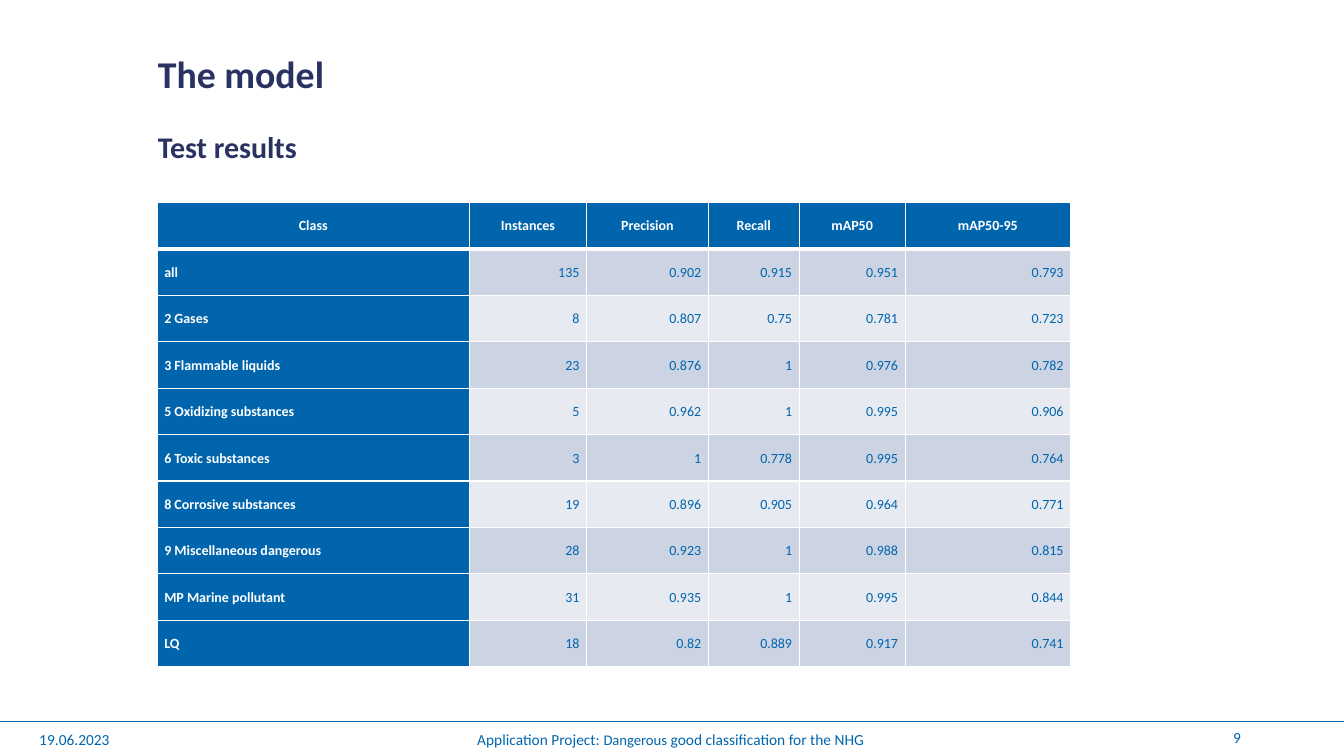
from dataclasses import dataclass

from lxml.etree import SubElement
from pptx import Presentation
from pptx.dml.color import RGBColor
from pptx.enum.shapes import MSO_CONNECTOR
from pptx.enum.text import MSO_ANCHOR, PP_ALIGN
from pptx.oxml.ns import qn
from pptx.slide import Slide
from pptx.table import _Cell
from pptx.text.text import _Paragraph
from pptx.util import Cm, Pt


@dataclass(frozen=True)
class Theme:
    font: str = "Calibri"
    blue: str = "0065AD"
    navy: str = "2A3262"
    white: str = "FFFFFF"
    odd_band: str = "CCD3E3"
    even_band: str = "E7EAF1"
    title_size: float = 27
    subtitle_size: float = 21.4
    footer_size: float = 11
    footer_small_size: float = 10.5
    table_size: float = 10
    grid_width: float = 1
    header_rule_width: float = 3


THEME = Theme()


@dataclass(frozen=True)
class Label:
    """A text box; position and size are in centimetres."""
    runs: tuple[str, ...]
    left: float
    top: float
    width: float
    height: float
    sizes: tuple[float, ...] = (THEME.footer_size,)
    color: str = THEME.blue
    bold: bool = False
    align: PP_ALIGN = PP_ALIGN.LEFT
    anchor: MSO_ANCHOR = MSO_ANCHOR.TOP
    inset_x: float = 0.25
    inset_y: float = 0.13
    line_spacing: float = 1.0


@dataclass(frozen=True)
class Column:
    heading: str
    width: float


LABELS = (
    Label(("Application Project: ", "Dangerous", " good classification for the NHG"),
          4.6, 18.26, 24.61, 1.19,
          sizes=(THEME.footer_size, THEME.footer_small_size, THEME.footer_size),
          align=PP_ALIGN.CENTER),
    Label(("19.06.2023",), 0.99, 18.39, 5.72, 0.51, inset_x=0, inset_y=0),
    Label(("The model",), 3.73, 1.3, 26.42, 1.27, sizes=(THEME.title_size,),
          color=THEME.navy, bold=True, anchor=MSO_ANCHOR.BOTTOM, line_spacing=0.9),
    Label(("9",), 29.97, 18.26, 1.55, 0.66,
          align=PP_ALIGN.RIGHT, anchor=MSO_ANCHOR.MIDDLE),
    Label(("Test results",), 3.73, 3.02, 26.42, 1.27, sizes=(THEME.subtitle_size,),
          color=THEME.navy, bold=True, anchor=MSO_ANCHOR.BOTTOM, line_spacing=0.9),
)

COLUMNS = (
    Column("Class", 7.87),
    Column("Instances", 2.95),
    Column("Precision", 3.07),
    Column("Recall", 2.29),
    Column("mAP50", 2.67),
    Column("mAP50-95", 4.17),
)
RESULTS = (
    ("all", "135", "0.902", "0.915", "0.951", "0.793"),
    ("2 Gases", "8", "0.807", "0.75", "0.781", "0.723"),
    ("3 Flammable liquids", "23", "0.876", "1", "0.976", "0.782"),
    ("5 Oxidizing substances", "5", "0.962", "1", "0.995", "0.906"),
    ("6 Toxic substances", "3", "1", "0.778", "0.995", "0.764"),
    ("8 Corrosive substances", "19", "0.896", "0.905", "0.964", "0.771"),
    ("9 Miscellaneous dangerous", "28", "0.923", "1", "0.988", "0.815"),
    ("MP Marine pollutant", "31", "0.935", "1", "0.995", "0.844"),
    ("LQ", "18", "0.82", "0.889", "0.917", "0.741"),
)
TABLE_LEFT, TABLE_TOP, ROW_HEIGHT = 3.96, 5.1, 1.17


def add_run(paragraph: _Paragraph, text: str, size: float, color: str, bold: bool) -> None:
    run = paragraph.add_run()
    run.text = text
    run.font.name = THEME.font
    run.font.size = Pt(size)
    run.font.bold = bold
    run.font.color.rgb = RGBColor.from_string(color)


def add_label(slide: Slide, label: Label) -> None:
    shape = slide.shapes.add_textbox(
        Cm(label.left), Cm(label.top), Cm(label.width), Cm(label.height))
    text_frame = shape.text_frame
    text_frame.word_wrap = True
    text_frame.vertical_anchor = label.anchor
    text_frame.margin_left = text_frame.margin_right = Cm(label.inset_x)
    text_frame.margin_top = text_frame.margin_bottom = Cm(label.inset_y)
    paragraph = text_frame.paragraphs[0]
    paragraph.alignment = label.align
    paragraph.line_spacing = label.line_spacing
    for text, size in zip(label.runs, label.sizes):
        add_run(paragraph, text, size, label.color, label.bold)


def add_footer_line(slide: Slide, width: int) -> None:
    line = slide.shapes.add_connector(
        MSO_CONNECTOR.STRAIGHT, 0, Cm(18.16), width, Cm(18.16))
    line.line.color.rgb = RGBColor.from_string(THEME.blue)
    line.line.width = Pt(0.25)
    SubElement(line._element.spPr, qn("a:effectLst"))


def set_borders(cell: _Cell, row: int) -> None:
    """Draw white borders, with a heavier rule between header and body."""
    thin, thick = THEME.grid_width, THEME.header_rule_width
    widths = {
        "a:lnL": thin,
        "a:lnR": thin,
        "a:lnT": thick if row == 1 else thin,
        "a:lnB": thick if row == 0 else thin,
    }
    properties = cell._tc.get_or_add_tcPr()
    for tag, width in widths.items():
        border = SubElement(properties, qn(tag), w=str(Pt(width)))
        fill = SubElement(border, qn("a:solidFill"))
        SubElement(fill, qn("a:srgbClr"), val=THEME.white)


def fill_cell(cell: _Cell, text: str, row: int, column: int) -> None:
    is_heading = row == 0 or column == 0
    band = THEME.odd_band if row % 2 else THEME.even_band
    set_borders(cell, row)
    cell.fill.solid()
    cell.fill.fore_color.rgb = RGBColor.from_string(THEME.blue if is_heading else band)
    cell.vertical_anchor = MSO_ANCHOR.MIDDLE
    cell.margin_left = cell.margin_right = Cm(0.18)
    cell.margin_top = cell.margin_bottom = 0
    paragraph = cell.text_frame.paragraphs[0]
    if row == 0:
        paragraph.alignment = PP_ALIGN.CENTER
    else:
        paragraph.alignment = PP_ALIGN.RIGHT if column else PP_ALIGN.LEFT
    paragraph.line_spacing = 1.07
    paragraph.space_after = Pt(8)
    color = THEME.white if is_heading else THEME.blue
    add_run(paragraph, text, THEME.table_size, color, is_heading)


def add_results_table(slide: Slide) -> None:
    rows = (tuple(column.heading for column in COLUMNS), *RESULTS)
    table = slide.shapes.add_table(
        len(rows), len(COLUMNS), Cm(TABLE_LEFT), Cm(TABLE_TOP),
        Cm(sum(column.width for column in COLUMNS)), Cm(ROW_HEIGHT * len(rows))).table
    table.first_col = True
    for table_column, column in zip(table.columns, COLUMNS):
        table_column.width = Cm(column.width)
    for row, values in enumerate(rows):
        table.rows[row].height = Cm(ROW_HEIGHT)
        for column, text in enumerate(values):
            fill_cell(table.cell(row, column), text, row, column)


def main() -> None:
    presentation = Presentation()
    presentation.slide_width = Cm(33.87)
    presentation.slide_height = Cm(19.05)
    slide = presentation.slides.add_slide(presentation.slide_layouts[6])
    add_footer_line(slide, presentation.slide_width)
    for label in LABELS:
        add_label(slide, label)
    add_results_table(slide)
    presentation.save("out.pptx")


if __name__ == "__main__":
    main()
